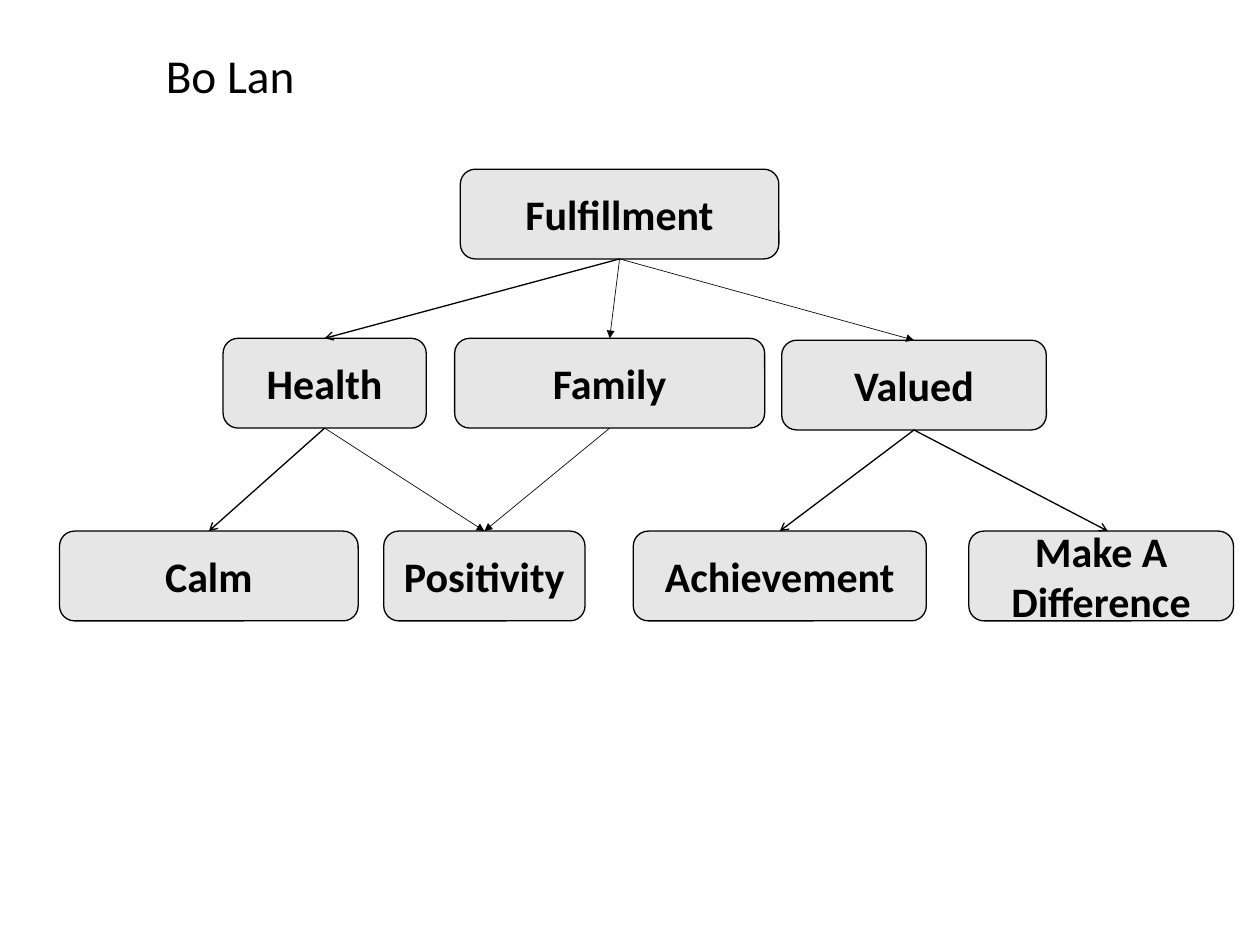
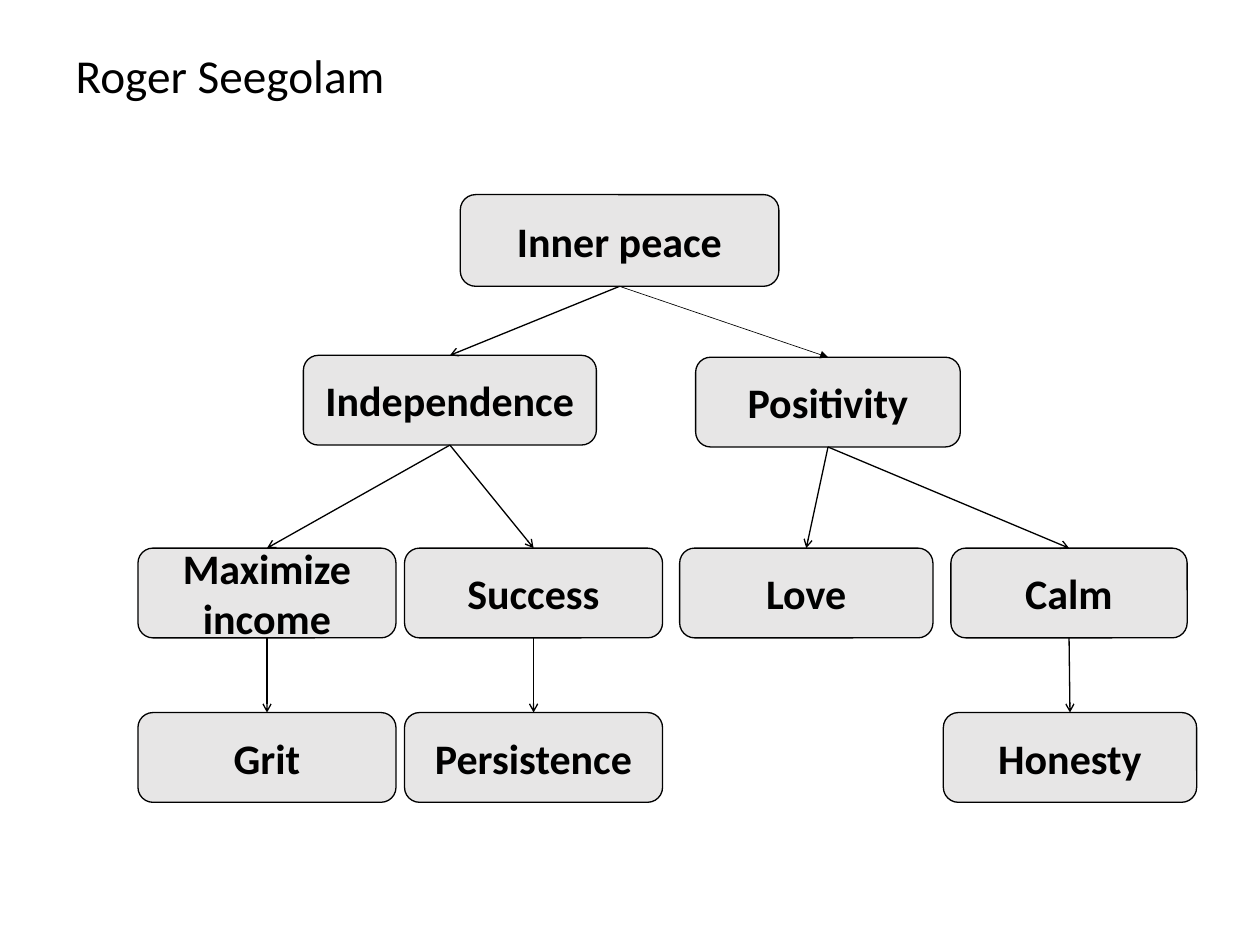
from dataclasses import dataclass

from lxml.etree import SubElement
from pptx import Presentation
from pptx.dml.color import RGBColor
from pptx.enum.shapes import MSO_CONNECTOR, MSO_SHAPE
from pptx.enum.text import MSO_ANCHOR, PP_ALIGN
from pptx.oxml.ns import qn
from pptx.util import Pt

EMU_PER_PX = 9144
PAGE_WIDTH, PAGE_HEIGHT = 1333, 1000
TOP_SITE, BOTTOM_SITE = 0, 2


@dataclass(frozen=True)
class Theme:
    """Colours, type sizes and line widths of the deck."""

    font: str = "Calibri"
    ink: str = "000000"
    node_fill: str = "E7E6E6"
    title_size: int = 36
    node_size: int = 32
    outline: float = 1
    thin: float = 0.5


def px(length):
    """Turn px into EMU."""
    return int(length * EMU_PER_PX)


def write(box, text, *, font, size, color, bold=False):
    """Put centred text into a box."""
    frame = box.text_frame
    frame.word_wrap = True
    frame.vertical_anchor = MSO_ANCHOR.MIDDLE
    para = frame.paragraphs[0]
    para.alignment = PP_ALIGN.CENTER
    span = para.add_run()
    span.text = text
    span.font.name = font
    span.font.size = Pt(size)
    span.font.bold = bold
    span.font.color.rgb = RGBColor.from_string(color)


class TreeDeck:
    """Draws pages that each show one person's tree of values."""

    def __init__(self, theme):
        """Start an empty deck."""
        self.theme = theme
        self.deck = Presentation()
        self.deck.slide_width = px(PAGE_WIDTH)
        self.deck.slide_height = px(PAGE_HEIGHT)
        self.page = None

    def add_page(self, person):
        """Start a page with the person's name on it."""
        self.page = self.deck.slides.add_slide(self.deck.slide_layouts[6])
        box = self.page.shapes.add_textbox(0, px(43), px(487), px(71))
        write(box, person, font=self.theme.font, size=self.theme.title_size,
              color=self.theme.ink)

    def set_line(self, line, width):
        """Give a line its ink and width."""
        line.color.rgb = RGBColor.from_string(self.theme.ink)
        line.width = Pt(width)

    def add_node(self, text, left, top, width, height=95):
        """Draw one rounded value box."""
        box = self.page.shapes.add_shape(
            MSO_SHAPE.ROUNDED_RECTANGLE, px(left), px(top), px(width), px(height))
        box.shadow.inherit = False
        box.fill.solid()
        box.fill.fore_color.rgb = RGBColor.from_string(self.theme.node_fill)
        self.set_line(box.line, self.theme.outline)
        write(box, text, font=self.theme.font, size=self.theme.node_size,
              color=self.theme.ink, bold=True)
        return box

    def add_arrow(self, parent, child, thin=False, shift=0):
        """Link a parent's bottom to a child's top, with the tip shifted if asked."""
        arrow = self.page.shapes.add_connector(
            MSO_CONNECTOR.STRAIGHT,
            parent.left + parent.width // 2, parent.top + parent.height,
            child.left + child.width // 2 + px(shift), child.top)
        arrow.begin_connect(parent, BOTTOM_SITE)
        if not shift:
            arrow.end_connect(child, TOP_SITE)
        self.set_line(arrow.line, self.theme.thin if thin else self.theme.outline)
        SubElement(arrow.line._get_or_add_ln(), qn("a:tailEnd"),
                   type="triangle" if thin else "arrow")
        SubElement(arrow._element.spPr, qn("a:effectLst"))

    def add_tree(self, person, nodes, arrows):
        """Draw a whole page from its nodes and arrows."""
        self.add_page(person)
        boxes = {node[0]: self.add_node(*node) for node in nodes}
        for parent, child, *style in arrows:
            self.add_arrow(boxes[parent], boxes[child], *style)


BO_NODES = [
    ("Fulfillment", 487, 179, 337),
    ("Health", 236, 358, 215),
    ("Family", 481, 358, 328),
    ("Valued", 827, 360, 280),
    ("Calm", 63, 562, 316),
    ("Positivity", 406, 562, 213),
    ("Achievement", 670, 562, 310),
    ("Make A Difference", 1025, 562, 280),
]
BO_ARROWS = [
    ("Fulfillment", "Health"),
    ("Fulfillment", "Family", True),
    ("Fulfillment", "Valued", True),
    ("Health", "Calm"),
    ("Health", "Positivity", True),
    ("Family", "Positivity", True),
    ("Valued", "Achievement"),
    ("Valued", "Make A Difference", False, 7),
]

ROGER_NODES = [
    ("Inner peace", 487, 206, 337, 97),
    ("Independence", 321, 376, 310),
    ("Positivity", 736, 378, 280),
    ("Maximize income", 146, 580, 273),
    ("Success", 428, 580, 273),
    ("Love", 719, 580, 268),
    ("Calm", 1006, 580, 250),
    ("Grit", 146, 754, 273),
    ("Persistence", 428, 754, 273),
    ("Honesty", 998, 754, 268),
]
ROGER_ARROWS = [
    ("Inner peace", "Independence"),
    ("Inner peace", "Positivity", True),
    ("Independence", "Maximize income"),
    ("Independence", "Success"),
    ("Positivity", "Love"),
    ("Positivity", "Calm"),
    ("Maximize income", "Grit"),
    ("Success", "Persistence"),
    ("Calm", "Honesty"),
]


def main():
    """Build and save the deck."""
    trees = TreeDeck(Theme())
    trees.add_tree("Bo Lan", BO_NODES, BO_ARROWS)
    trees.add_tree("Roger Seegolam", ROGER_NODES, ROGER_ARROWS)
    trees.deck.save("out.pptx")


if __name__ == "__main__":
    main()
